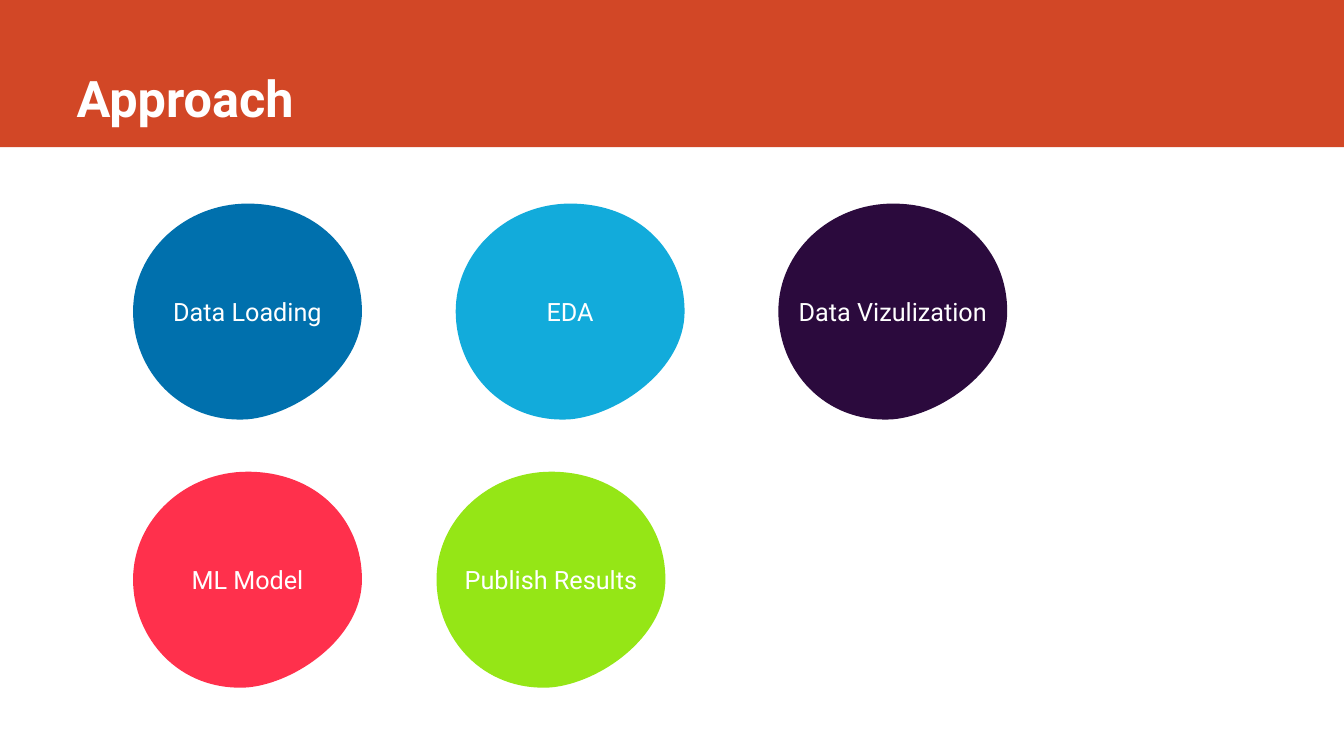
from lxml import etree
from pptx import Presentation, util as u
from pptx.dml.color import RGBColor
from pptx.enum import shapes, text
from pptx.oxml.ns import qn

COLORS = {"band": "D24726", "white": "FFFFFF", "blue": "0070AD", "cyan": "12ABDB",
          "purple": "2B0A3D", "red": "FF304C", "green": "95E616"}
FONT = "Roboto"
W, H = 13.33, 7.5
BLOB_W, BLOB_H = 2.27, 2.14
LEFT, TOP, ROW_PITCH = 1.32, 2.02, 2.66
ROWS = [
    (3.2, [("Data Loading", "blue"), ("EDA", "cyan"), ("Data Vizulization", "purple")]),
    (3.01, [("ML Model", "red"), ("Publish Results", "green")]),
]
UNITS = 100
BLOB_CURVES = [
    ((0, 22), (23, 0), (50, 0)),
    ((80, 0), (100, 22), (100, 50)),
    ((100, 77), (71, 98), (50, 100)),
    ((20, 102), (0, 77), (0, 50)),
]


def rgb(name):
    return RGBColor.from_string(COLORS[name])


def paint(sp, color):
    sp.fill.solid()
    sp.fill.fore_color.rgb = rgb(color)
    sp.line.fill.background()
    sp.shadow.inherit = False


def write(sp, words, size, align, anchor, bold=False):
    tf = sp.text_frame
    tf.word_wrap = True
    tf.auto_size = text.MSO_AUTO_SIZE.NONE
    tf.vertical_anchor = anchor
    p = tf.paragraphs[0]
    p.alignment = align
    r = p.add_run()
    r.text = words
    r.font.name, r.font.size, r.font.bold = FONT, u.Pt(size), bold
    r.font.color.rgb = rgb("white")


def bend(sp, curves):
    for line, curve in zip(list(sp._element.iter(qn("a:lnTo"))), curves):
        line.tag = qn("a:cubicBezTo")
        for i, (x, y) in enumerate(curve[:-1]):
            pt = etree.Element(qn("a:pt"), x=str(x), y=str(y))
            line.insert(i, pt)


def add_header(s, x, y, w, h):
    band = s.shapes.add_shape(shapes.MSO_SHAPE.RECTANGLE, *map(u.Inches, (x, y, w, h)))
    paint(band, "band")
    title = s.shapes.title
    title.left, title.top = u.Inches(x + 0.66), u.Inches(y)
    title.width, title.height = u.Inches(w - 1.57), u.Inches(h - 0.14)
    title._element.addprevious(band._element)
    write(title, "Approach", 36, text.PP_ALIGN.LEFT, text.MSO_ANCHOR.BOTTOM, True)


def add_blob(s, x, y, w, h, words, color):
    anchors = [curve[-1] for curve in BLOB_CURVES]
    scale = (u.Inches(w) / UNITS, u.Inches(h) / UNITS)
    builder = s.shapes.build_freeform(*anchors[-1], scale=scale)
    builder.add_line_segments(anchors, close=True)
    sp = builder.convert_to_shape(u.Inches(x), u.Inches(y))
    bend(sp, BLOB_CURVES)
    paint(sp, color)
    write(sp, words, 18, text.PP_ALIGN.CENTER, text.MSO_ANCHOR.MIDDLE)


def add_steps(s, x, y):
    for row, (pitch, steps) in enumerate(ROWS):
        for col, (words, color) in enumerate(steps):
            add_blob(s, x + col * pitch, y + row * ROW_PITCH, BLOB_W, BLOB_H, words, color)


def main():
    prs = Presentation()
    prs.slide_width, prs.slide_height = u.Inches(W), u.Inches(H)
    s = prs.slides.add_slide(prs.slide_layouts[5])
    add_header(s, 0, 0, W, 1.46)
    add_steps(s, LEFT, TOP)
    prs.save("out.pptx")


if __name__ == "__main__":
    main()
